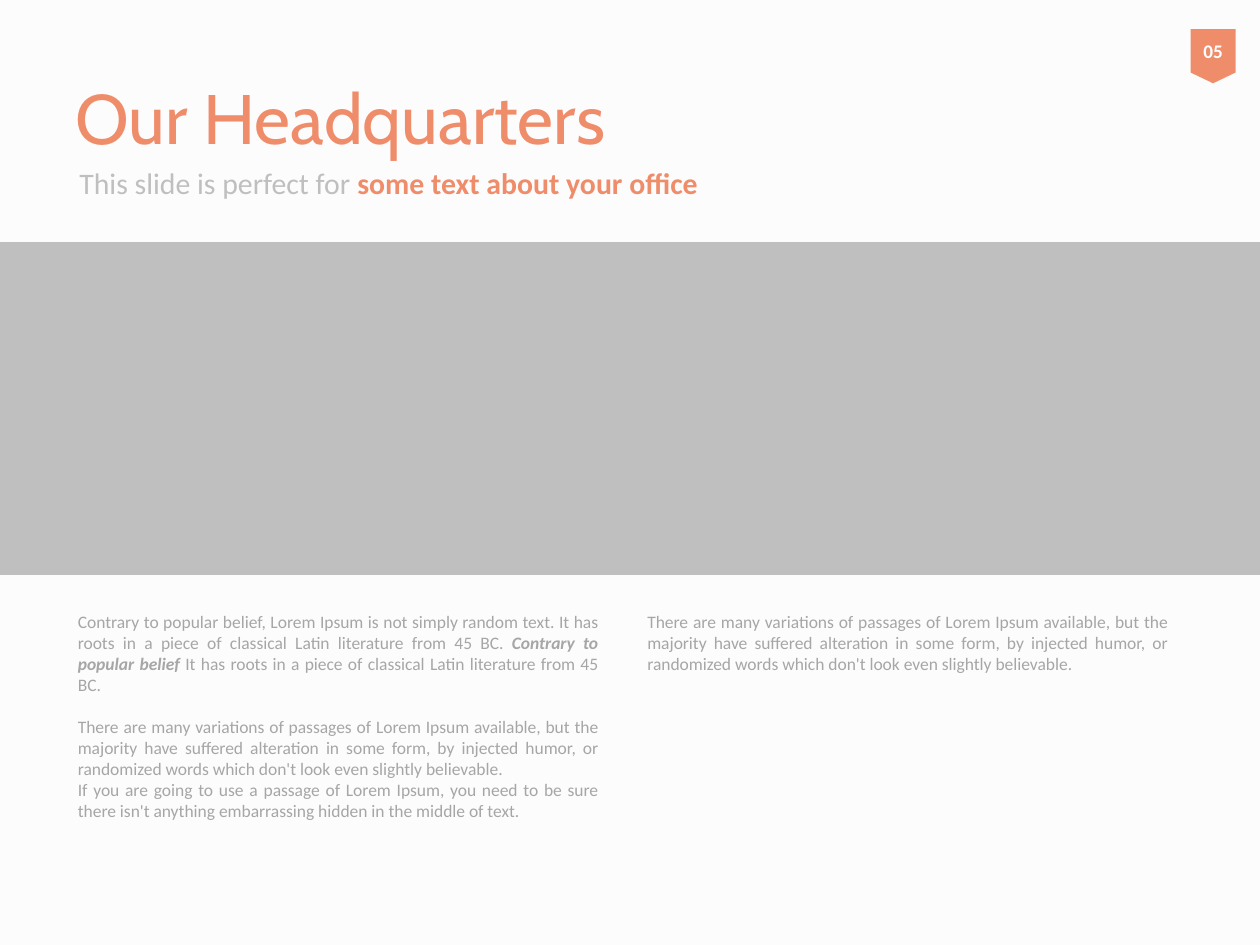
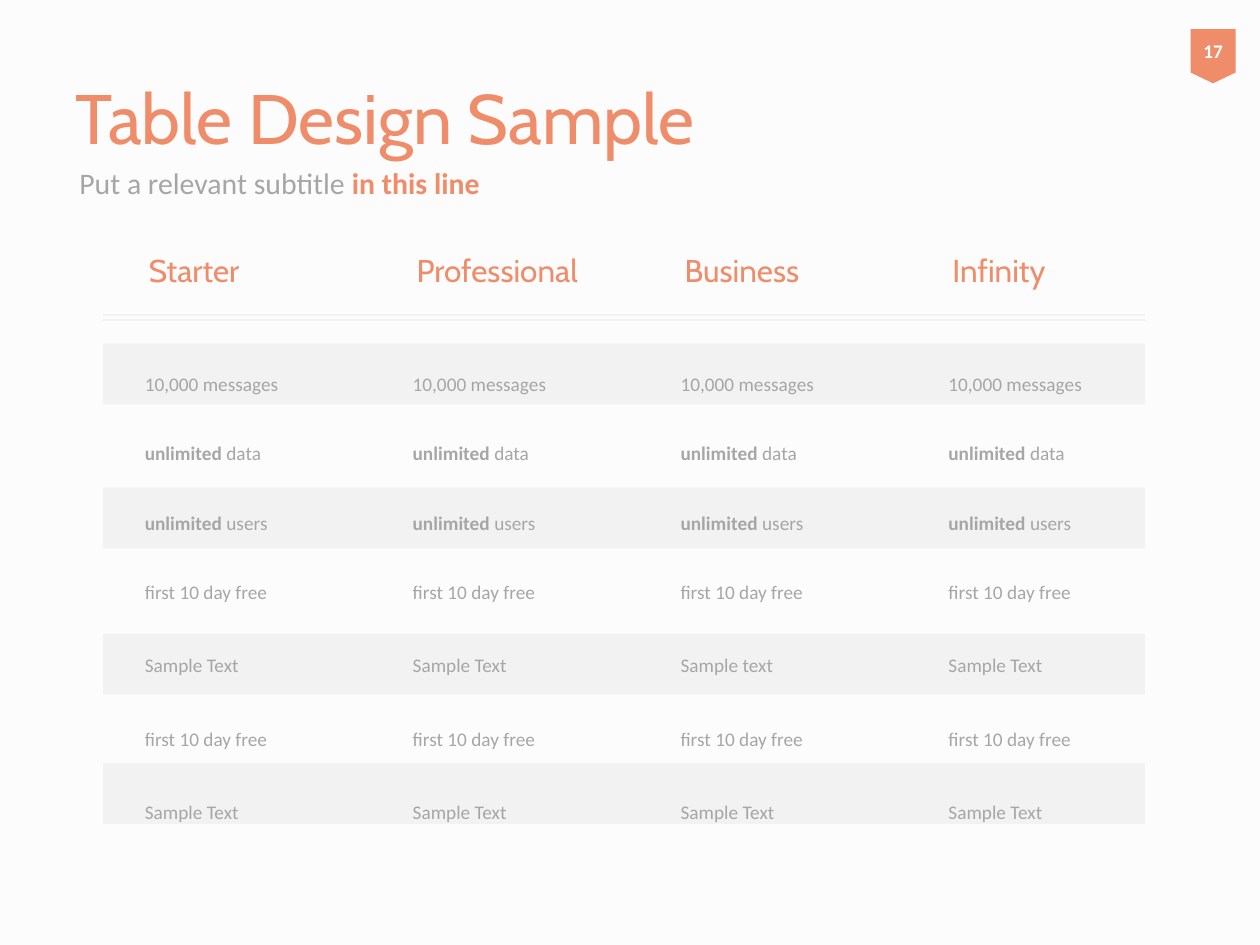
from lxml import etree
from pptx import Presentation
from pptx.dml.color import RGBColor
from pptx.enum.shapes import MSO_CONNECTOR, MSO_SHAPE
from pptx.enum.text import MSO_ANCHOR, PP_ALIGN
from pptx.oxml.ns import qn
from pptx.util import Cm, Pt

RECT = MSO_SHAPE.RECTANGLE
PENNANT = MSO_SHAPE.FLOWCHART_OFFPAGE_CONNECTOR
STRAIGHT = MSO_CONNECTOR.STRAIGHT
TOP, MIDDLE = MSO_ANCHOR.TOP, MSO_ANCHOR.MIDDLE
CENTER, JUSTIFY = PP_ALIGN.CENTER, PP_ALIGN.JUSTIFY

PAPER, CORAL, WHITE = "FCFCFC", "EF8C6A", "FFFFFF"
SILVER, GREY, PALE = "BFBFBF", "A6A6A6", "F2F2F2"
HEAD_FONT, BODY_FONT = "Cabin", "Calibri"
SLIDE_W, SLIDE_H = 25.4, 19.05

VARIATIONS = (
    "There are many variations of passages of Lorem Ipsum available, but the "
    "majority have suffered alteration in some form, by injected humor, or "
    "randomized words which don't look even slightly believable."
)
PLANS = ["Starter", "Professional", "Business", "Infinity"]


def rgb(value):
    return RGBColor.from_string(value)


def style(font, size, color, name=BODY_FONT, bold=None):
    font.name, font.size, font.bold = name, Pt(size), bold
    font.color.rgb = rgb(color)


def add_shape(s, kind, box, color):
    sp = s.shapes.add_shape(kind, *map(Cm, box))
    sp.shadow.inherit = False
    sp.fill.solid()
    sp.fill.fore_color.rgb = rgb(color)
    sp.line.fill.background()
    return sp


def add_frame(s, box, anchor=TOP):
    tf = s.shapes.add_textbox(*map(Cm, box)).text_frame
    tf.word_wrap = True
    tf.vertical_anchor = anchor
    return tf


def add_label(s, box, text, size):
    p = add_frame(s, box, MIDDLE).paragraphs[0]
    p.text = text
    style(p.font, size, CORAL, HEAD_FONT)


def next_paragraph(tf, index):
    return tf.add_paragraph() if index else tf.paragraphs[0]


def add_rule(s, x, y, width):
    line = s.shapes.add_connector(STRAIGHT, Cm(x), Cm(y), Cm(x + width), Cm(y))
    line.line.color.rgb = rgb(PALE)
    line.line.width = Pt(0.75)
    etree.SubElement(line._element.spPr, qn("a:effectLst"))


def add_page(prs, title, lead, emphasis, number, lead_color):
    """Add a slide with background, title, two-tone subtitle and number badge."""
    s = prs.slides.add_slide(prs.slide_layouts[6])
    s.background.fill.solid()
    s.background.fill.fore_color.rgb = rgb(PAPER)
    add_label(s, (1.27, 1.27, 22.86, 2.16), title, 40)

    p = add_frame(s, (1.35, 3, 22.86, 1.35), MIDDLE).paragraphs[0]
    for text, color, bold in ((lead, lead_color, False), (emphasis, CORAL, True)):
        r = p.add_run()
        r.text = text
        style(r.font, 17, color, bold=bold)

    tf = add_shape(s, PENNANT, (24, 0.59, 0.91, 1.09), CORAL).text_frame
    tf.word_wrap = False
    tf.vertical_anchor = MIDDLE
    p = tf.paragraphs[0]
    p.text = number
    p.alignment = CENTER
    style(p.font, 11, WHITE, bold=True)
    return s


def add_article(s, box):
    """Set the office text in two columns."""
    tf = add_frame(s, box)
    tf.margin_right = Cm(0.41)
    tf.margin_bottom = Cm(0.46)  # ends the first column after its last paragraph
    body = tf._txBody.bodyPr
    body.set("numCol", "2")
    body.set("spcCol", str(Cm(0.99)))

    origin = "It has roots in a piece of classical Latin literature from 45 BC."
    paragraphs = [
        [
            f"Contrary to popular belief, Lorem Ipsum is not simply random text. {origin} ",
            "Contrary to popular belief ",
            origin,
        ],
        [VARIATIONS],
        [
            "If you are going to use a passage of Lorem Ipsum, you need to be sure "
            "there isn't anything embarrassing hidden in the middle of text."
        ],
        [VARIATIONS],
    ]
    for i, parts in enumerate(paragraphs):
        p = next_paragraph(tf, i)
        p.alignment = JUSTIFY
        style(p.font, 10, GREY)
        for j, text in enumerate(parts):
            r = p.add_run()
            r.text = text
            if j == 1:
                r.font.bold = r.font.italic = True
    tf.paragraphs[0].space_after = Pt(12.2)


def add_bands(s, x, width):
    for y in (6.93, 9.83, 12.78, 15.39):
        add_shape(s, RECT, (x, y, width, 1.22), PALE)
    for y in (6.35, 6.45):
        add_rule(s, x, y, width)


def add_plan(s, x, y, name, sample):
    """Place one plan: its name above the list of what it offers."""
    tf = add_frame(s, (x, y + 1.52, 4.09, 10.41))
    offer = [("", "10,000 messages"), ("unlimited", " data"),
             ("unlimited", " users"), ("", "first 10 day free")]
    paragraphs = [offer] + [[("", t)] for t in (sample, "first 10 day free", "Sample Text")]
    for i, lines in enumerate(paragraphs):
        p = next_paragraph(tf, i)
        p.line_spacing = 3.0
        if i:
            p.space_before = Pt(2.2)
        style(p.font, 11, GREY)
        for j, (strong, plain) in enumerate(lines):
            if j:
                p.add_line_break()
            if strong:
                r = p.add_run()
                r.text = strong
                r.font.bold = True
            p.add_run().text = plain
    add_label(s, (x + 0.08, y, 3.96, 1.02), name, 18)


def headquarters_slide(prs):
    s = add_page(prs, "Our Headquarters", "This slide is perfect for ",
                 "some text about your office", "05", SILVER)
    add_shape(s, RECT, (0, 4.88, SLIDE_W, 6.71), SILVER)
    add_article(s, (1.32, 12.19, 22.63, 4.95))


def plans_slide(prs):
    s = add_page(prs, "Table Design Sample", "Put a relevant subtitle ",
                 "in this line", "17", GREY)
    add_bands(s, 2.08, 21)
    for i, name in enumerate(PLANS):
        sample = "Sample text" if name == "Business" else "Sample Text"
        add_plan(s, 2.67 + 5.4 * i, 4.93, name, sample)


def main():
    prs = Presentation()
    prs.slide_width, prs.slide_height = Cm(SLIDE_W), Cm(SLIDE_H)
    headquarters_slide(prs)
    plans_slide(prs)
    prs.save("out.pptx")


if __name__ == "__main__":
    main()
